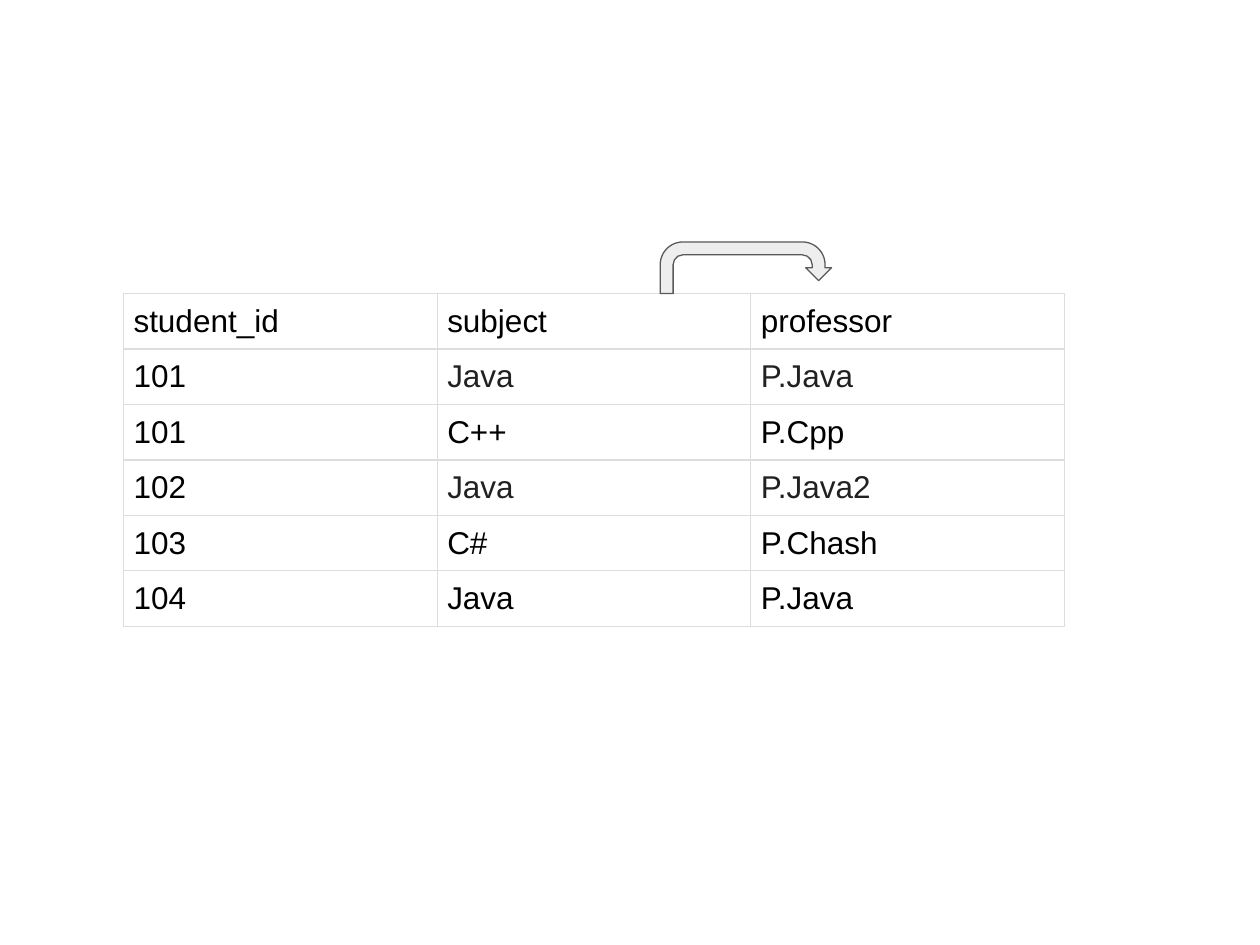
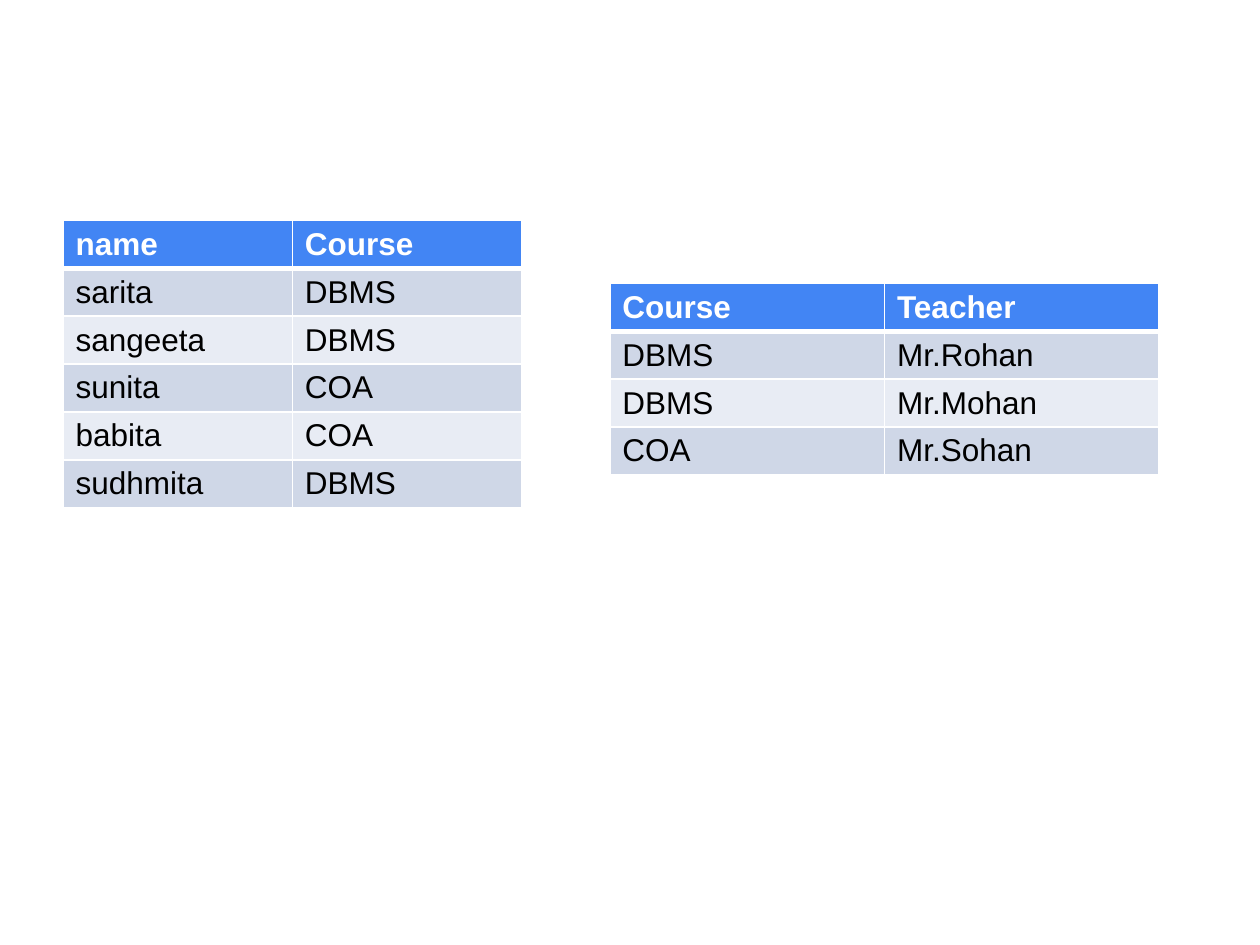
from pptx import Presentation
from pptx.dml.color import RGBColor
from pptx.enum.shapes import MSO_SHAPE
from pptx.oxml.ns import qn
from pptx.util import Inches, Pt
from lxml.etree import SubElement


def rgb(value):
    return RGBColor.from_string(value)


class Deck:
    font = {"name": "Arial", "size": Pt(18)}
    black, soft_black, white = "000000", "212121", "FFFFFF"
    header, bands = "4285F4", ("CFD7E7", "E8ECF4")
    grid, arrow_fill, arrow_line = "DDDDDD", "EEEEEE", "595959"

    def __init__(self):
        self.prs = Presentation()
        self.prs.slide_width, self.prs.slide_height = Inches(10), Inches(7.5)
        self.s = None

    def add_slide(self):
        self.s = self.prs.slides.add_slide(self.prs.slide_layouts[6])

    def border(self, cell, side, color, width):
        ln = SubElement(cell._tc.get_or_add_tcPr(), qn(f"a:ln{side}"), w=str(Pt(width)))
        fill = SubElement(ln, qn("a:solidFill"))
        SubElement(fill, qn("a:srgbClr"), val=color)

    def cell(self, cell, text, insets, widths, line, fill, color, bold):
        for side, inset in zip(("left", "top", "right", "bottom"), insets):
            setattr(cell, f"margin_{side}", Inches(inset))
        for side, width in widths.items():
            self.border(cell, side, line, width)
        if fill:
            cell.fill.solid()
            cell.fill.fore_color.rgb = rgb(fill)
        else:
            cell.fill.background()
        p = cell.text_frame.paragraphs[0]
        r = p.add_run()
        r.text = text
        for key, value in {**self.font, "bold": bold}.items():
            setattr(r.font, key, value)
        r.font.color.rgb = rgb(color)

    def table(self, left, top, col_width, row_height, rows):
        count, cols = len(rows), len(rows[0])
        table = self.s.shapes.add_table(
            count, cols, Inches(left), Inches(top),
            Inches(col_width * cols), Inches(row_height * count)).table
        table.horz_banding = False
        for column in table.columns:
            column.width = Inches(col_width)
        for row in table.rows:
            row.height = Inches(row_height)
        return table

    def plain_table(self, left, top, col_width, rows, soft_rows):
        table = self.table(left, top, col_width, 0.44, rows)
        for i, row in enumerate(rows):
            for j, text in enumerate(row):
                color = self.soft_black if i in soft_rows and j else self.black
                self.cell(table.cell(i, j), text, [0.08] * 4,
                          dict.fromkeys("LRTB", 0.75), self.grid, None, color, False)

    def banded_table(self, left, top, col_width, rows):
        table = self.table(left, top, col_width, 0.38, rows)
        for i, row in enumerate(rows):
            is_header = i == 0
            fill = self.header if is_header else self.bands[(i - 1) % 2]
            color = self.white if is_header else self.black
            widths = {"L": 1, "R": 1, "T": 3 if i == 1 else 1, "B": 3 if is_header else 1}
            for j, text in enumerate(row):
                self.cell(table.cell(i, j), text, (0.1, 0.05, 0.1, 0.04),
                          widths, self.white, fill, color, is_header)

    def u_turn_arrow(self, left, top, width, height, adjustments):
        sp = self.s.shapes.add_shape(
            MSO_SHAPE.U_TURN_ARROW, Inches(left), Inches(top), Inches(width), Inches(height))
        sp.shadow.inherit = False
        for i, value in enumerate(adjustments):
            sp.adjustments[i] = value
        sp.fill.solid()
        sp.fill.fore_color.rgb = rgb(self.arrow_fill)
        sp.line.color.rgb = rgb(self.arrow_line)
        sp.line.width = Pt(0.75)


def main():
    deck = Deck()

    deck.add_slide()
    enrolments = [
        ("student_id", "subject", "professor"),
        ("101", "Java", "P.Java"),
        ("101", "C++", "P.Cpp"),
        ("102", "Java", "P.Java2"),
        ("103", "C#", "P.Chash"),
        ("104", "Java", "P.Java"),
    ]
    deck.plain_table(0.98, 2.33, 2.49, enrolments, soft_rows=(1, 3))
    deck.u_turn_arrow(5.24, 1.92, 1.36, 0.41, (0.25, 0.25, 0.25, 0.44, 0.75))

    deck.add_slide()
    students = [
        ("name", "Course"),
        ("sarita", "DBMS"),
        ("sangeeta", "DBMS"),
        ("sunita", "COA"),
        ("babita", "COA"),
        ("sudhmita", "DBMS"),
    ]
    teachers = [
        ("Course", "Teacher"),
        ("DBMS", "Mr.Rohan"),
        ("DBMS", "Mr.Mohan"),
        ("COA", "Mr.Sohan"),
    ]
    deck.banded_table(0.5, 1.75, 1.82, students)
    deck.banded_table(4.84, 2.25, 2.18, teachers)

    deck.prs.save("out.pptx")


if __name__ == "__main__":
    main()
